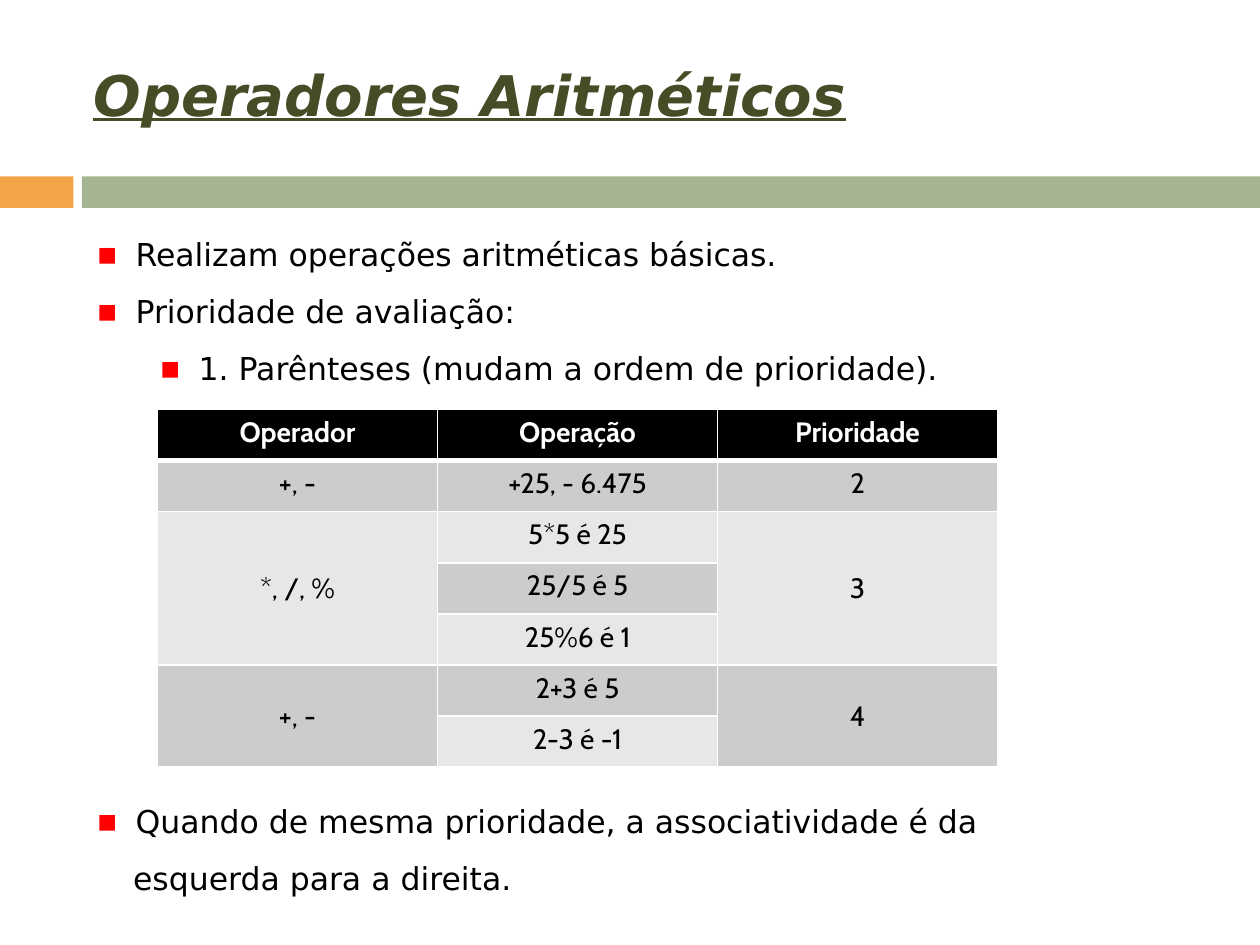
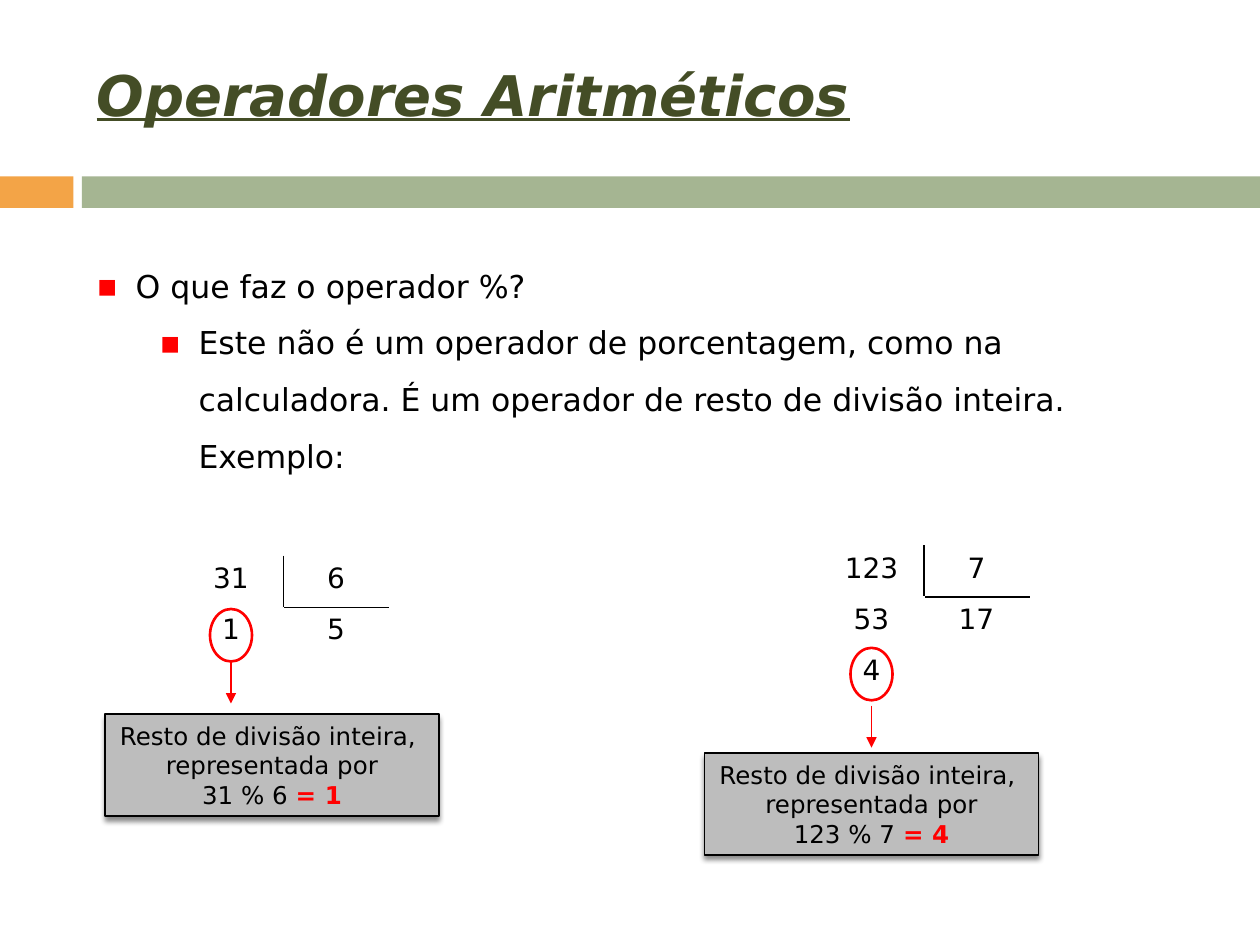
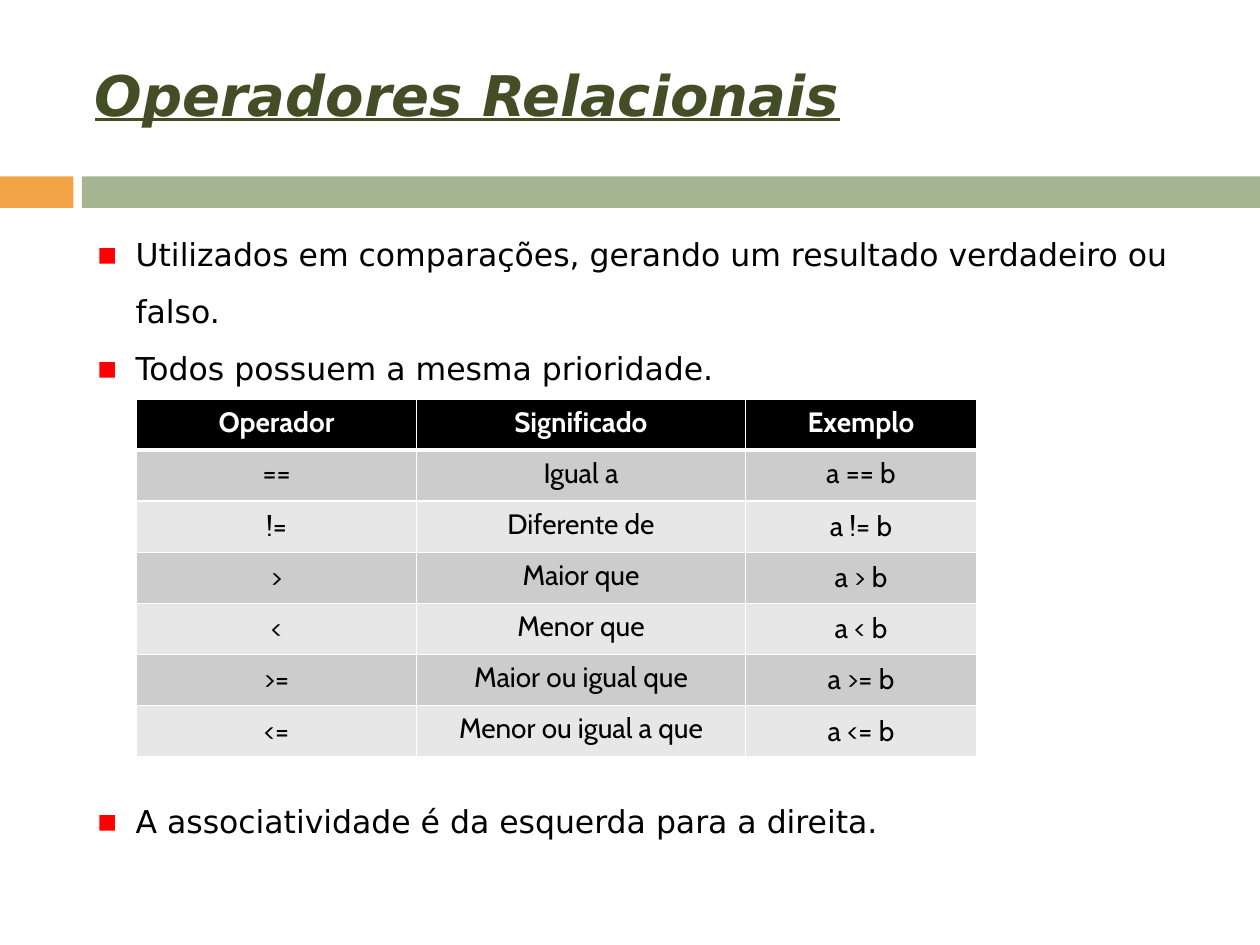
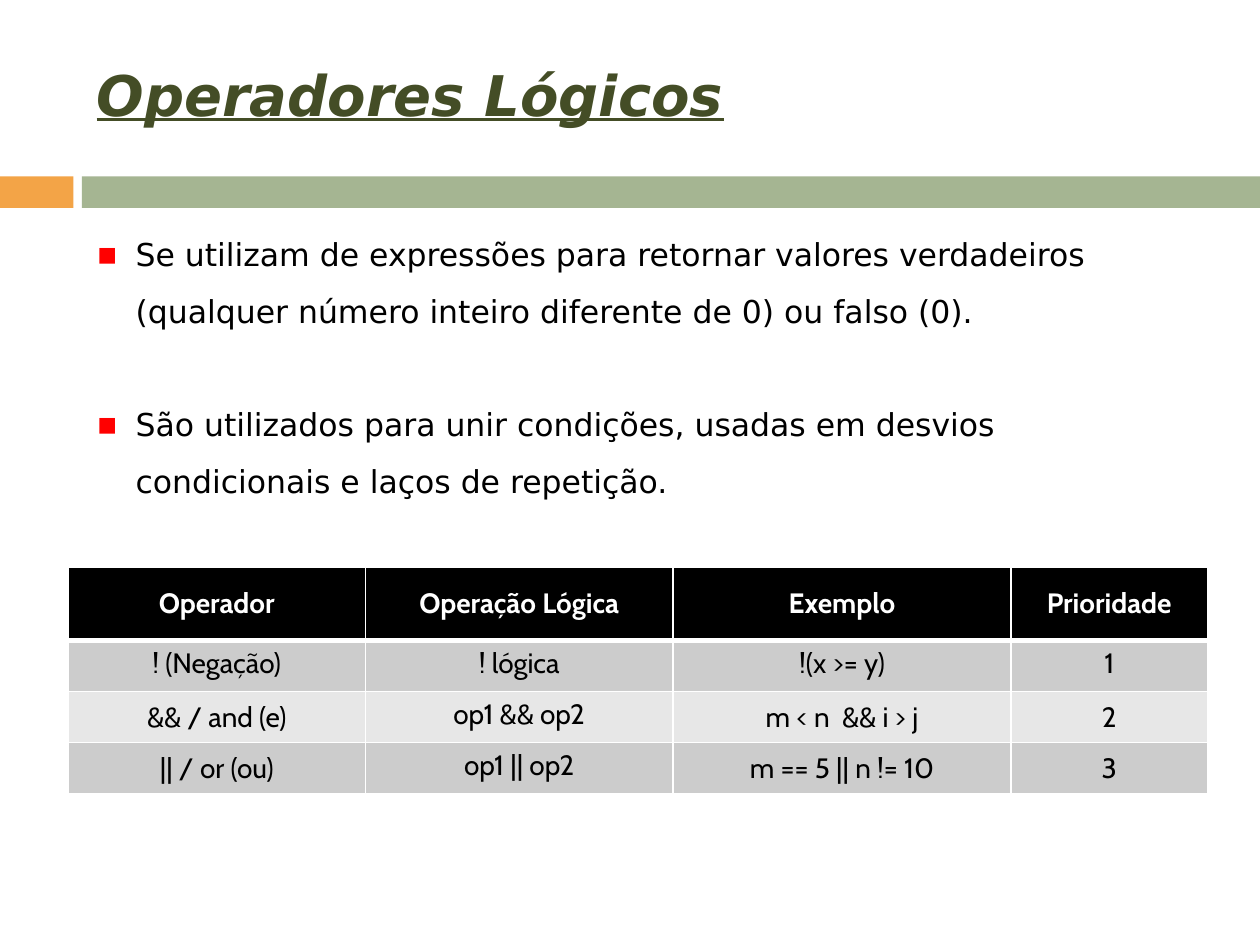
from lxml.etree import SubElement
from pptx import Presentation
from pptx.dml.color import RGBColor
from pptx.enum.shapes import MSO_CONNECTOR, MSO_SHAPE
from pptx.enum.text import MSO_ANCHOR, MSO_AUTO_SIZE, PP_ALIGN
from pptx.oxml.ns import qn
from pptx.util import Inches, Pt

COLORS = {
    "title": "444D26", "orange": "F3A447", "green": "A5B592", "red": "FF0000",
    "black": "000000", "white": "FFFFFF", "box": "BDBDBD",
    "odd": "CCCCCC", "even": "E7E7E7",
}
SANS, CABIN = "DejaVu Sans", "Cabin"
COLS, ROWS = 120, 90
ROW = 4.87
BLANK_LINE = 32.4
INDENTS = {"item": (0, 0.31, -0.31), "sub": (1, 0.81, -0.31), "plain": (0, 0.2, 0.09)}


def rgb(name):
    """Return the named colour."""
    return RGBColor.from_string(COLORS[name])


def grid(*cells):
    """Turn grid cells of a twelfth of an inch into lengths."""
    return [Inches(cell / 12) for cell in cells]


def write(p, text, size=18, font=SANS, color="black", bold=False, italic=False,
          underline=False, align=None):
    """Add a formatted run to a paragraph."""
    r = p.add_run()
    r.text = text
    f = r.font
    f.size, f.name, f.bold, f.italic, f.underline = Pt(size), font, bold, italic, underline
    f.color.rgb = rgb(color)
    if align is not None:
        p.alignment = align


def add_border(cell, **sides):
    """Draw cell sides, each given as (colour, width)."""
    tcPr = cell._tc.get_or_add_tcPr()
    for i, side in enumerate(s for s in "LRTB" if s in sides):
        color, width = sides[side]
        ln = SubElement(tcPr, qn(f"a:ln{side}"), w=str(Pt(width)))
        fill = SubElement(ln, qn("a:solidFill"))
        SubElement(fill, qn("a:srgbClr"), val=COLORS[color])
        tcPr.insert(i, ln)


class Deck:
    """Holds the deck's style and its current slide."""

    def __init__(self):
        """Start an empty deck."""
        self.prs = Presentation()
        self.prs.slide_width, self.prs.slide_height = grid(COLS, ROWS)
        self.layout = self.prs.slide_layouts[1]
        self.s = None

    def slide(self, title, left=8):
        """Add a slide with its title."""
        self.s = self.prs.slides.add_slide(self.layout)
        if len(self.prs.slides) == 1:
            self.bands()
        sp = self.s.shapes.title
        sp.left, sp.top, sp.width, sp.height = grid(left, 3, 83, 12)
        tf = sp.text_frame
        tf.vertical_anchor, tf.auto_size = MSO_ANCHOR.MIDDLE, MSO_AUTO_SIZE.NONE
        write(tf.paragraphs[0], title, size=32, color="title", bold=True, italic=True,
              underline=True, align=PP_ALIGN.LEFT)

    def bands(self):
        """Put the two coloured bands on the shared layout."""
        for i, (left, width, color) in enumerate([(0, 7, "orange"), (7.8, 112.2, "green")]):
            sp = self.shape(MSO_SHAPE.RECTANGLE, left, 16.8, width, 3, fill=color)
            sp.element.nvSpPr.cNvPr.set("id", str(20 + i))
            self.layout.shapes.element.insert(2 + i, sp.element)

    def shape(self, kind, left, top, width, height, fill=None, line=None, weight=0.79):
        """Add a preset shape without shadow."""
        sp = self.s.shapes.add_shape(kind, *grid(left, top, width, height))
        sp.shadow.inherit = False
        if fill:
            sp.fill.solid()
            sp.fill.fore_color.rgb = rgb(fill)
        else:
            sp.fill.background()
        if line:
            sp.line.color.rgb = rgb(line)
            sp.line.width = Pt(weight)
        else:
            sp.line.fill.background()
        return sp

    def body(self, items, top, height):
        """Fill the body with (style, text, blank lines before) items."""
        sp = self.s.placeholders[1]
        sp.left, sp.top, sp.width, sp.height = grid(8, top, 104.9, height)
        tf = sp.text_frame
        tf.word_wrap, tf.auto_size = True, MSO_AUTO_SIZE.SHAPE_TO_FIT_TEXT
        for i, (style, text, gap) in enumerate(items):
            p = tf.add_paragraph() if i else tf.paragraphs[0]
            p.level, margin, indent = INDENTS[style]
            p.line_spacing, p.space_before = 1.5, Pt(gap * BLANK_LINE)
            pPr = p._p.get_or_add_pPr()
            pPr.set("marL", str(Inches(margin)))
            pPr.set("indent", str(Inches(indent)))
            if style == "plain":
                SubElement(pPr, qn("a:buNone"))
            else:
                color = SubElement(pPr, qn("a:buClr"))
                SubElement(color, qn("a:srgbClr"), val=COLORS["red"])
                SubElement(pPr, qn("a:buFont"), typeface=SANS)
                SubElement(pPr, qn("a:buChar"), char="▪")
            write(p, text, align=PP_ALIGN.LEFT)

    def table(self, rows, left, top, widths, head=ROW):
        """Add a plain table; None continues the cell above."""
        heights = [head] + [ROW] * (len(rows) - 1)
        frame = self.s.shapes.add_table(
            len(rows), len(widths), *grid(left, top, sum(widths), sum(heights)))
        tb = frame.table
        tb.first_row = tb.horz_banding = False
        for column, width in zip(tb.columns, grid(*widths)):
            column.width = width
        for row, height in zip(tb.rows, grid(*heights)):
            row.height = height
        for c in range(len(widths)):
            for r in range(len(rows)):
                end = r
                while end + 1 < len(rows) and rows[end + 1][c] is None:
                    end += 1
                if rows[r][c] is not None and end > r:
                    tb.cell(r, c).merge(tb.cell(end, c))
        return tb

    def operators(self, rows, left, top, widths, head=ROW):
        """Add a banded table of operators with a black header."""
        tb = self.table(rows, left, top, widths, head)
        for r, row in enumerate(rows):
            for c, text in enumerate(row):
                cell = tb.cell(r, c)
                cell.fill.solid()
                cell.fill.fore_color.rgb = rgb(("even", "odd")[r % 2] if r else "black")
                add_border(cell, L=("white", 1), R=("white", 1),
                           T=("white", 3 if r == 1 else 1), B=("white", 1 if r else 3))
                if (r > 1 and c != 1) or (r == 0 and head > ROW):
                    cell.vertical_anchor = MSO_ANCHOR.MIDDLE
                if text is not None:
                    write(cell.text_frame.paragraphs[0], text, size=16, font=CABIN,
                          color="black" if r else "white", bold=r == 0,
                          align=PP_ALIGN.CENTER)

    def arrow(self, x, top, bottom):
        """Add a red arrow pointing down."""
        x, top, bottom = grid(x, top, bottom)
        cx = self.s.shapes.add_connector(MSO_CONNECTOR.STRAIGHT, x, top, x, bottom)
        cx.line.color.rgb = rgb("red")
        cx.line.width = Pt(0.79)
        spPr = cx.element.spPr
        SubElement(spPr.find(qn("a:ln")), qn("a:tailEnd"), type="triangle")
        SubElement(spPr, qn("a:effectLst"))

    def note(self, left, top, operation, result):
        """Add the shadowed box that explains a remainder."""
        sp = self.shape(MSO_SHAPE.RECTANGLE, left, top, 31.8, 9.72, fill="box", line="black")
        effects = sp.element.spPr.find(qn("a:effectLst"))
        shadow = SubElement(effects, qn("a:outerShdw"), blurRad=str(Pt(3)),
                            dist=str(Pt(2.4)), dir="5400000", rotWithShape="0")
        color = SubElement(shadow, qn("a:srgbClr"), val=COLORS["black"])
        SubElement(color, qn("a:alpha"), val="45000")
        tf = sp.text_frame
        tf.word_wrap, tf.auto_size = False, MSO_AUTO_SIZE.SHAPE_TO_FIT_TEXT
        lines = ["Resto de divisão inteira, ", "representada por", operation]
        for i, text in enumerate(lines):
            p = tf.add_paragraph() if i else tf.paragraphs[0]
            write(p, text, size=14, align=PP_ALIGN.CENTER)
        write(p, result, size=14, color="red", bold=True)

    def division(self, rows, left, top, ring, gap, note_left, operation, result):
        """Add a long division, its ringed remainder and the note below."""
        tb = self.table(rows, left, top, [10, 10])
        for r, row in enumerate(rows):
            for c, text in enumerate(row):
                tb.cell(r, c).fill.background()
                if text is not None:
                    write(tb.cell(r, c).text_frame.paragraphs[0], text, size=16,
                          align=PP_ALIGN.CENTER)
        line = ("black", 1)
        add_border(tb.cell(0, 0), R=line)
        add_border(tb.cell(0, 1), L=line, B=line)
        add_border(tb.cell(1, 1), T=line)
        self.shape(MSO_SHAPE.OVAL, left + 3, ring, 4, 5, line="red", weight=1.5)
        start = ring + 5 + gap
        self.arrow(left + 5, start, start + 4)
        self.note(note_left, ring + 10, operation, result)


def main():
    """Build the four slides."""
    d = Deck()

    d.slide("Operadores Aritméticos", left=7.7)
    d.body([
        ("item", "Realizam operações aritméticas básicas.", 0),
        ("item", "Prioridade de avaliação:", 0),
        ("sub", "1. Parênteses (mudam a ordem de prioridade).", 0),
        ("item", "Quando de mesma prioridade, a associatividade é da", 7),
        ("plain", "esquerda para a direita.", 0),
    ], 20, 66.6)
    d.operators([
        ["Operador", "Operação", "Prioridade"],
        ["+, -", "+25, - 6.475", "2"],
        ["*, /, %", "5*5 é 25", "3"],
        [None, "25/5 é 5", None],
        [None, "25%6 é 1", None],
        ["+, -", "2+3 é 5", "4"],
        [None, "2-3 é -1", None],
    ], 15, 39, [26.67] * 3)

    d.slide("Operadores Aritméticos")
    d.body([
        ("item", "O que faz o operador %?", 0),
        ("sub", "Este não é um operador de porcentagem, como na calculadora. "
                "É um operador de resto de divisão inteira. Exemplo:", 0),
    ], 23, 23)
    d.division([["31", "6"], ["1", "5"]], 17, 53, 58, 0, 10, "31 % 6 ", "= 1")
    d.division([["123", "7"], ["53", "17"], ["4", None]], 78, 52, 61.7, 0.5, 67.1,
               "123 % 7 ", "= 4")

    d.slide("Operadores Relacionais", left=7.8)
    d.body([
        ("item", "Utilizados em comparações, gerando um resultado verdadeiro ou falso.", 0),
        ("item", "Todos possuem a mesma prioridade.", 0),
        ("item", "A associatividade é da esquerda para a direita.", 7),
    ], 20, 61.2)
    relations = [("==", "Igual a"), ("!=", "Diferente de"), (">", "Maior que"),
                 ("<", "Menor que"), (">=", "Maior ou igual que"),
                 ("<=", "Menor ou igual a que")]
    d.operators([["Operador", "Significado", "Exemplo"]]
                + [[sign, meaning, f"a {sign} b"] for sign, meaning in relations],
                13, 38, [26.67, 31.33, 22])

    d.slide("Operadores Lógicos")
    d.body([
        ("item", "Se utilizam de expressões para retornar valores verdadeiros "
                 "(qualquer número inteiro diferente de 0) ou falso (0).", 0),
        ("item", "São utilizados para unir condições, usadas em desvios "
                 "condicionais e laços de repetição.", 1),
    ], 20, 28.4)
    d.operators([
        ["Operador", "Operação Lógica", "Exemplo", "Prioridade"],
        ["! (Negação)", "! lógica", "!(x >= y)", "1"],
        ["&& / and (e)", "op1 && op2", "m < n  && i > j", "2"],
        ["|| / or (ou)", "op1 || op2", "m == 5 || n != 10", "3"],
    ], 6.5, 54, [28.3, 29.3, 32.2, 18.7], head=7)

    d.prs.save("out.pptx")


if __name__ == "__main__":
    main()
